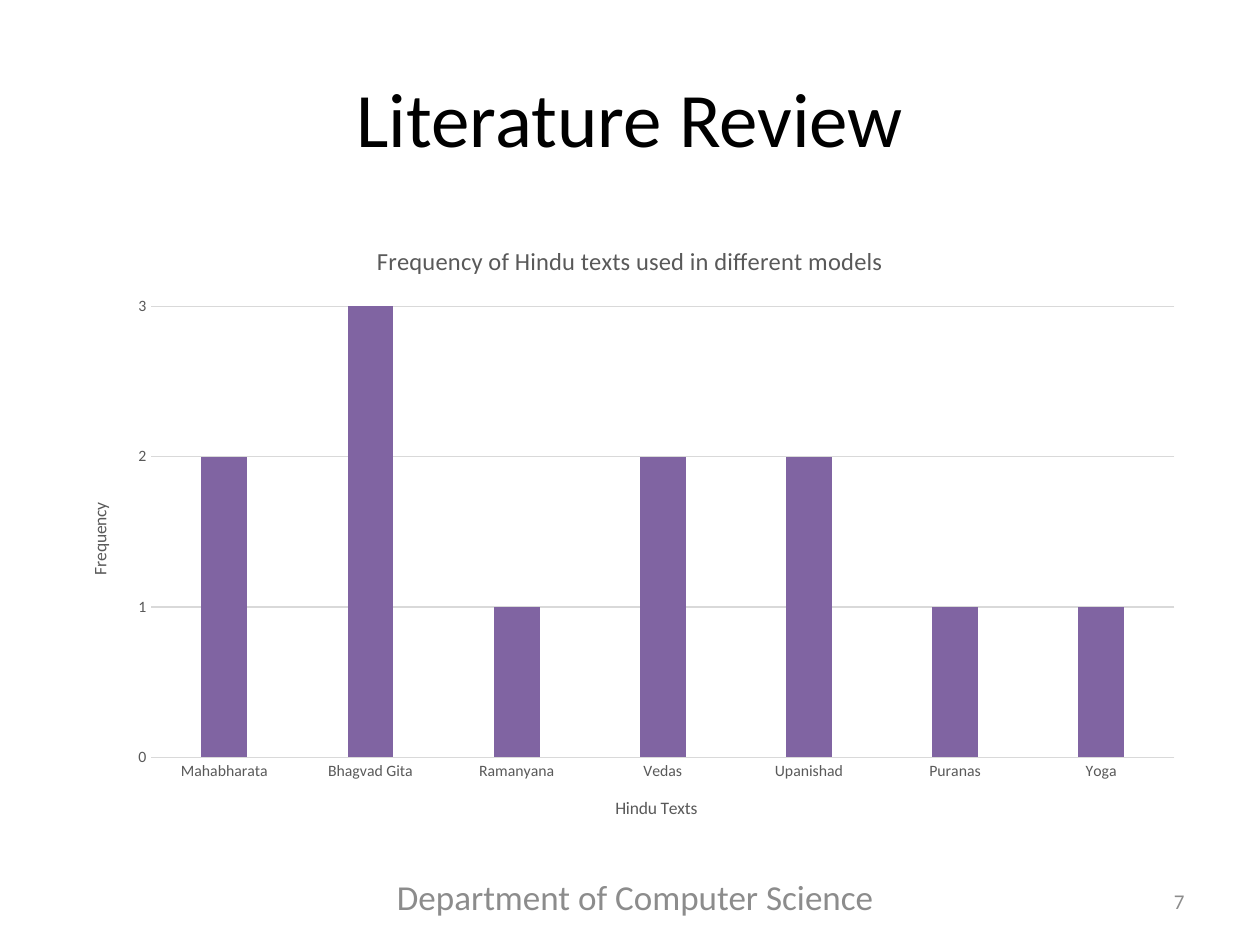
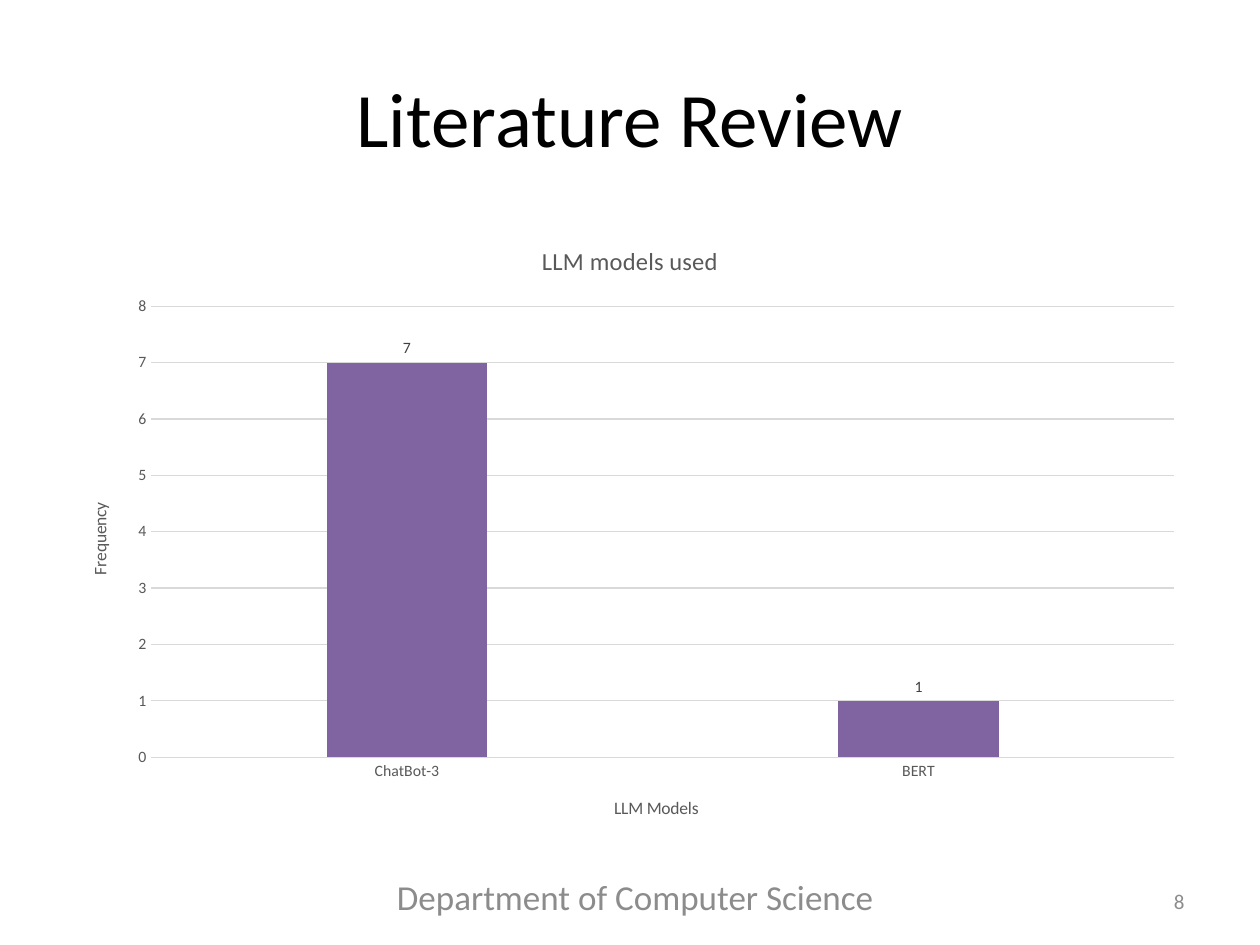
import pptx
import pptx.chart.data
import pptx.dml.color
import pptx.enum.chart
import pptx.enum.text
import pptx.oxml.ns
import pptx.util

Pt = pptx.util.Pt
RGBColor = pptx.dml.color.RGBColor
Align = pptx.enum.text.PP_ALIGN

FONT = "Calibri"
BLACK = RGBColor(0x00, 0x00, 0x00)
FOOTER_GREY = RGBColor(0x8C, 0x8C, 0x8C)
CHART_GREY = RGBColor(0x59, 0x59, 0x59)
LABEL_GREY = RGBColor(0x40, 0x40, 0x40)
GRID_GREY = RGBColor(0xD9, 0xD9, 0xD9)
PURPLE = RGBColor(0x80, 0x64, 0xA2)

TITLE_ONLY_LAYOUT = 5


class Deck:
    """Holds the style and the current slide."""

    def __init__(self):
        self.presentation = pptx.Presentation()
        self.presentation.slide_width = Pt(720)
        self.presentation.slide_height = Pt(540)
        self.slide = None

    def style_font(self, font, size, color):
        font.name = FONT
        font.size = Pt(size)
        font.bold = False
        font.color.rgb = color

    def fill_text(self, frame, text, size, color, align):
        frame.text = text
        frame.word_wrap = True
        frame.vertical_anchor = pptx.enum.text.MSO_ANCHOR.MIDDLE
        paragraph = frame.paragraphs[0]
        paragraph.alignment = align
        self.style_font(paragraph.font, size, color)

    def add_slide(self, heading, number):
        layout = self.presentation.slide_layouts[TITLE_ONLY_LAYOUT]
        self.slide = self.presentation.slides.add_slide(layout)
        title = self.slide.shapes.title
        title.left, title.top, title.width, title.height = Pt(36), Pt(21.6), Pt(648), Pt(90)
        self.fill_text(title.text_frame, heading, 44, BLACK, Align.CENTER)
        # Footer and slide number
        self.add_text("Department of Computer Science", (204, 498, 318, 29), 20, Align.CENTER)
        self.add_text(str(number), (516, 500.4, 168, 29), 12, Align.RIGHT)

    def add_text(self, text, box, size, align):
        frame = self.slide.shapes.add_textbox(*map(Pt, box)).text_frame
        self.fill_text(frame, text, size, FOOTER_GREY, align)

    def style_chart_title(self, title, text, size):
        title.text_frame.text = text
        self.style_font(title.text_frame.paragraphs[0].font, size, CHART_GREY)

    def style_axis(self, axis, caption):
        self.style_chart_title(axis.axis_title, caption, 10)
        self.style_font(axis.tick_labels.font, 9, CHART_GREY)
        axis.major_tick_mark = pptx.enum.chart.XL_TICK_MARK.NONE
        axis.minor_tick_mark = pptx.enum.chart.XL_TICK_MARK.NONE

    def style_line(self, line):
        line.color.rgb = GRID_GREY
        line.width = Pt(0.75)

    def add_column_chart(self, heading, category_caption, counts, maximum, labelled=False):
        data = pptx.chart.data.CategoryChartData()
        data.categories = list(counts)
        data.add_series("Series 1", list(counts.values()))
        chart = self.slide.shapes.add_chart(
            pptx.enum.chart.XL_CHART_TYPE.COLUMN_CLUSTERED,
            Pt(36), Pt(126), Pt(648), Pt(356.4), data).chart
        self.style_font(chart.font, 10, BLACK)
        chart.has_legend = False
        self.style_chart_title(chart.chart_title, heading, 14)
        chart.chart_title.include_in_layout = False

        # Axes
        categories, frequency = chart.category_axis, chart.value_axis
        self.style_axis(categories, category_caption)
        self.style_line(categories.format.line)
        self.style_axis(frequency, "Frequency")
        body = frequency.axis_title.text_frame._txBody.find(pptx.oxml.ns.qn("a:bodyPr"))
        body.set("rot", "-5400000")
        body.set("vert", "horz")
        frequency.format.line.fill.background()
        frequency.minimum_scale, frequency.maximum_scale = 0, maximum
        frequency.major_unit = 1
        frequency.has_major_gridlines = True
        self.style_line(frequency.major_gridlines.format.line)

        # Columns
        plot = chart.plots[0]
        plot.vary_by_categories = False
        plot.gap_width, plot.overlap = 219, -27
        columns = plot.series[0]
        columns.format.fill.solid()
        columns.format.fill.fore_color.rgb = PURPLE
        if labelled:
            labels = columns.data_labels
            labels.show_value = True
            labels.position = pptx.enum.chart.XL_LABEL_POSITION.OUTSIDE_END
            self.style_font(labels.font, 9, LABEL_GREY)


def main():
    deck = Deck()

    # Hindu texts
    deck.add_slide("Literature Review", 7)
    deck.add_column_chart(
        "Frequency of Hindu texts used in different models", "Hindu Texts",
        {"Mahabharata": 2, "Bhagvad Gita": 3, "Ramanyana": 1, "Vedas": 2,
         "Upanishad": 2, "Puranas": 1, "Yoga": 1}, maximum=3)

    # Language models
    deck.add_slide("Literature Review", 8)
    deck.add_column_chart("LLM models used", "LLM Models",
                          {"ChatBot-3": 7, "BERT": 1}, maximum=8, labelled=True)

    deck.presentation.save("out.pptx")


if __name__ == "__main__":
    main()
